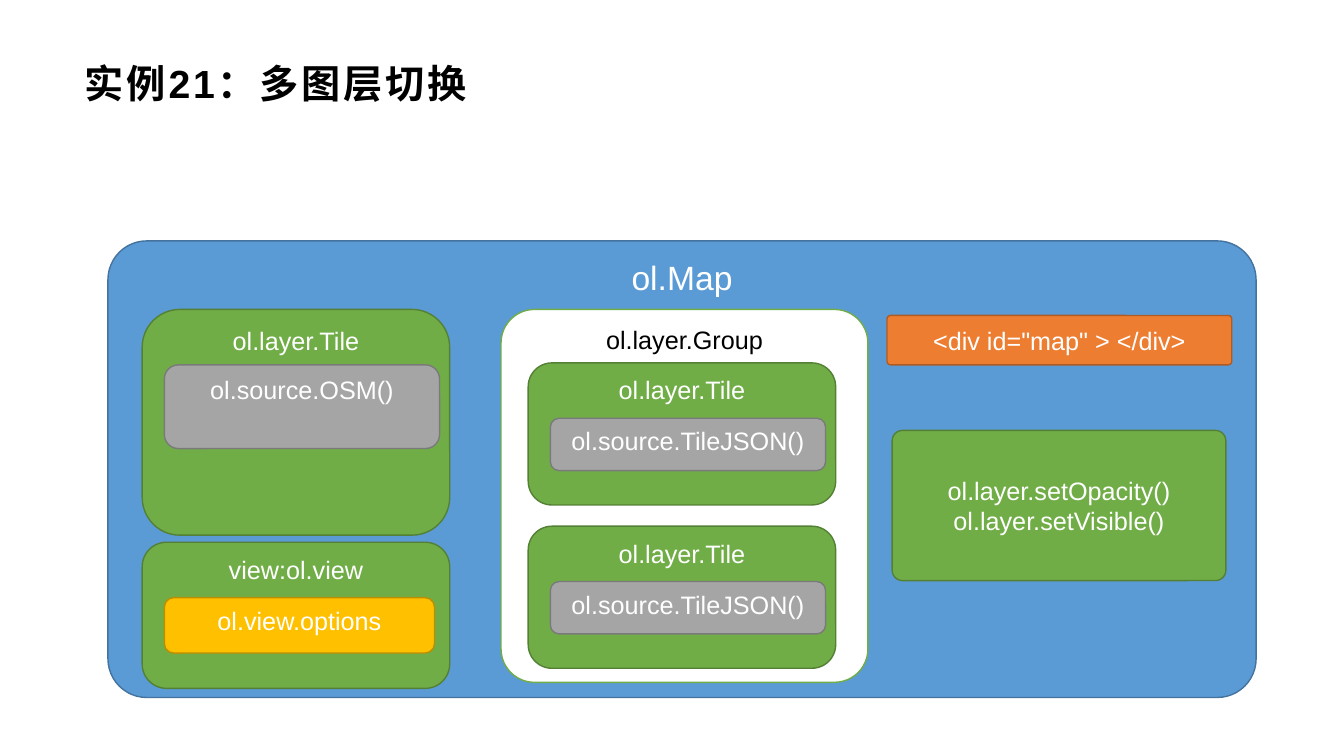
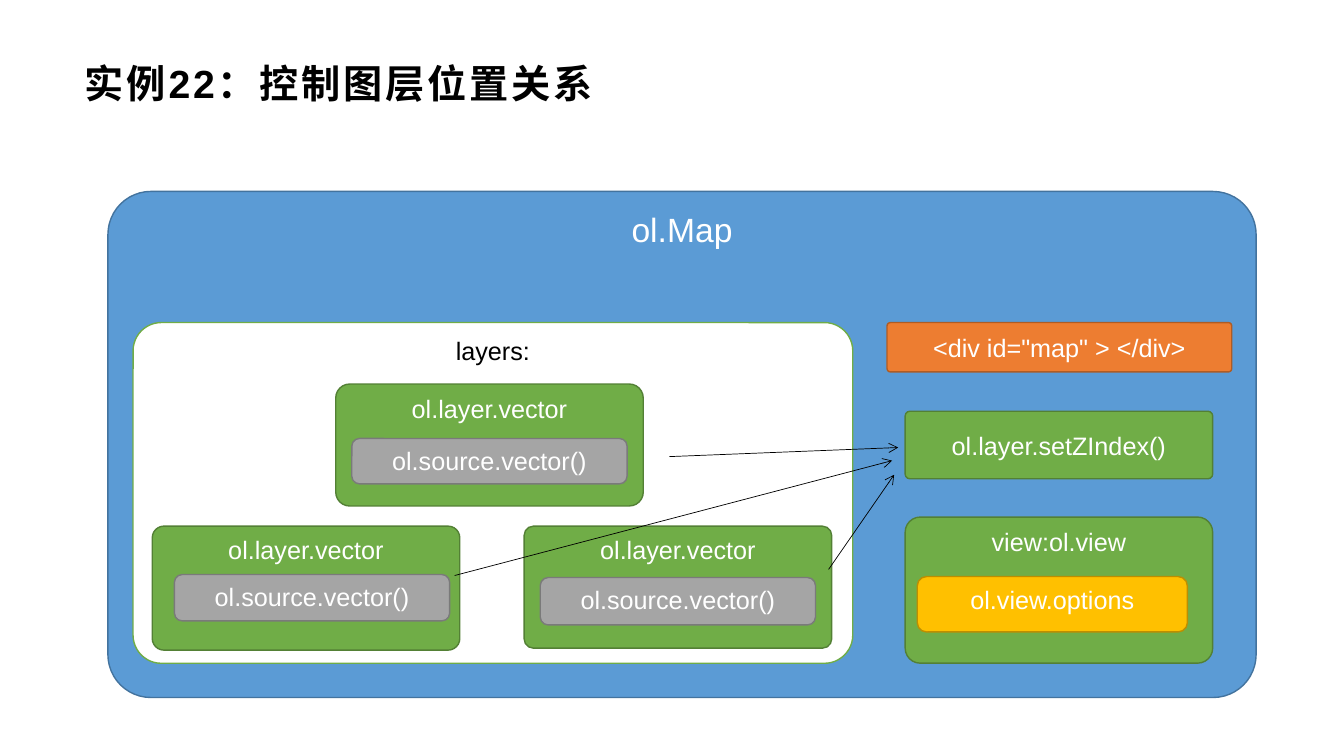
from dataclasses import dataclass

from lxml.etree import SubElement
from pptx import Presentation
from pptx.dml.color import RGBColor
from pptx.enum.shapes import MSO_CONNECTOR as CONN, MSO_SHAPE as SHAPE
from pptx.enum.text import MSO_ANCHOR as ANCHOR, MSO_AUTO_SIZE as FIT, PP_ALIGN as ALIGN
from pptx.oxml.ns import qn
from pptx.util import Inches, Pt


@dataclass(frozen=True)
class Paint:
    fill: str
    line: str
    text: str = "FFFFFF"


@dataclass(frozen=True)
class Theme:
    font: str = "Arial"
    ink: str = "000000"
    title_size: int = 28
    map_size: int = 24
    body_size: int = 18
    title_spacing: int = 200
    map: Paint = Paint("5B9BD5", "43739E")
    page: Paint = Paint("ED7D31", "AF5C24")
    layer: Paint = Paint("70AD47", "538035")
    source: Paint = Paint("A5A5A5", "7A7A7A")
    options: Paint = Paint("FFC000", "BD8E00")
    panel: Paint = Paint("FFFFFF", "70AD47", "000000")


T = Theme()
WIDTH, HEIGHT = Inches(13.33), Inches(7.5)

# Shared measures, in percent of the slide's width or height
MAP_X, MAP_W, MAP_BOTTOM = 8.03, 85.43, 92.27
BLOCK_W, SOURCE_W, OPTIONS_W = 22.88, 20.48, 20.1
VIEW_H, OPTIONS_H = 19.33, 7.33
INSET_X, INSET_Y = 1.65, 7.33
ROUND, TIGHT = 0.167, 0.069


def px(share):
    return int(WIDTH * share / 100)


def py(share):
    return int(HEIGHT * share / 100)


def style_runs(tf, size, color, bold=False):
    for p in tf.paragraphs:
        for r in p.runs:
            r.font.name = T.font
            r.font.size = Pt(size)
            r.font.bold = bold
            r.font.color.rgb = RGBColor.from_string(color)


# Element kinds
def add_title_slide(prs, title):
    slide = prs.slides.add_slide(prs.slide_layouts[5])
    s = slide.shapes.title
    s.left, s.top, s.width, s.height = px(5.48), py(6.27), px(89.03), py(9.47)
    tf = s.text_frame
    tf.text = title
    tf.word_wrap = True
    tf.auto_size = FIT.NONE
    tf.vertical_anchor = ANCHOR.MIDDLE
    tf.margin_left, tf.margin_right = Inches(0.11), Inches(0.08)
    tf.margin_top = tf.margin_bottom = Inches(0.04)
    p = tf.paragraphs[0]
    p.alignment = ALIGN.LEFT
    style_runs(tf, T.title_size, T.ink, bold=True)
    p.runs[0].font._element.set("spc", str(T.title_spacing))
    return slide


def add_box(shapes, text, x, y, w, h, paint, adj=ROUND, size=T.body_size, anchor=ANCHOR.TOP):
    s = shapes.add_shape(SHAPE.ROUNDED_RECTANGLE, px(x), py(y), px(w), py(h))
    s.adjustments[0] = adj
    s.shadow.inherit = False
    s.fill.solid()
    s.fill.fore_color.rgb = RGBColor.from_string(paint.fill)
    s.line.color.rgb = RGBColor.from_string(paint.line)
    s.line.width = Pt(1)
    tf = s.text_frame
    tf.text = text
    tf.word_wrap = True
    tf.vertical_anchor = anchor
    for p in tf.paragraphs:
        p.alignment = ALIGN.CENTER
    style_runs(tf, size, paint.text)


def add_map(shapes, top):
    add_box(shapes, "ol.Map", MAP_X, top, MAP_W, MAP_BOTTOM - top, T.map, 0.085, T.map_size)


def add_page_tag(shapes, y):
    add_box(shapes, '<div id="map" > </div>', 66, y, 25.65, 6.53, T.page, TIGHT,
            anchor=ANCHOR.MIDDLE)


def add_methods(shapes, text, x, y, w, h):
    add_box(shapes, text, x, y, w, h, T.layer, TIGHT, anchor=ANCHOR.MIDDLE)


def add_layer(shapes, name, source, x, y, h, source_h, dx=INSET_X, dy=INSET_Y, adj=ROUND):
    group = shapes.add_group_shape().shapes
    add_box(group, name, x, y, BLOCK_W, h, T.layer, adj)
    add_box(group, source, x + dx, y + dy, SOURCE_W, source_h, T.source)


def add_view(shapes, x, y, dx=INSET_X, dy=INSET_Y, adj=ROUND):
    group = shapes.add_group_shape().shapes
    add_box(group, "view:ol.view", x, y, BLOCK_W, VIEW_H, T.layer, adj)
    add_box(group, "ol.view.options", x + dx, y + dy, OPTIONS_W, OPTIONS_H, T.options)


def add_arrow(shapes, start, end):
    s = shapes.add_connector(CONN.STRAIGHT, px(start[0]), py(start[1]), px(end[0]), py(end[1]))
    s.line.color.rgb = RGBColor.from_string(T.ink)
    s.line.width = Pt(0.5)
    SubElement(s.line._get_or_add_ln(), qn("a:tailEnd"), type="arrow")
    SubElement(s._element.spPr, qn("a:effectLst"))


# Slides
def build_layer_switching(prs):
    shapes = add_title_slide(prs, "实例21：多图层切换").shapes
    top, left = 40.93, 10.58
    add_map(shapes, 31.87)
    add_page_tag(shapes, 41.73)

    # Base layer and view
    add_view(shapes, left, 71.73)
    add_layer(shapes, "ol.layer.Tile", "ol.source.OSM()", left, top, 29.87, 11.07)

    # Layer group
    add_box(shapes, "ol.layer.Group", 37.28, top, 27.3, 49.33, T.panel, 0.091)
    for row in range(2):
        add_layer(shapes, "ol.layer.Tile", "ol.source.TileJSON()",
                  39.3, 48 + row * 21.6, 18.8, 6.93)

    add_methods(shapes, "ol.layer.setOpacity()\nol.layer.setVisible()",
                66.38, 56.93, 24.83, 19.87)


def build_layer_order(prs):
    shapes = add_title_slide(prs, "实例22：控制图层位置关系").shapes
    top, right = 42.67, 67.35
    add_map(shapes, 25.33)
    add_page_tag(shapes, top)
    add_view(shapes, right, 68.4, dx=0.9, dy=7.87, adj=0.103)

    # Vector layers: x, y, height, source height, source offsets, rounding
    add_box(shapes, "layers:", 9.9, top, 53.55, 45.07, T.panel, 0.083)
    for place in ((11.33, 69.6, 16.4, 6.13, 1.65, 6.4, 0.094),
                  (24.98, 50.8, 16.13, 6, 1.2, 7.2, 0.114),
                  (39, 69.6, 16.13, 6.27, 1.2, 6.8, 0.075)):
        add_layer(shapes, "ol.layer.vector", "ol.source.vector()", *place)

    # Links from each layer to the method
    add_methods(shapes, "ol.layer.setZIndex()", right, 54.4, BLOCK_W, 8.93)
    for start, end in (((49.8, 60.4), (66.83, 59.2)),
                       ((33.83, 76.13), (66.38, 60.93)),
                       ((61.65, 75.33), (66.53, 62.8))):
        add_arrow(shapes, start, end)


def main():
    prs = Presentation()
    prs.slide_width, prs.slide_height = WIDTH, HEIGHT
    build_layer_switching(prs)
    build_layer_order(prs)
    prs.save("out.pptx")


main()
